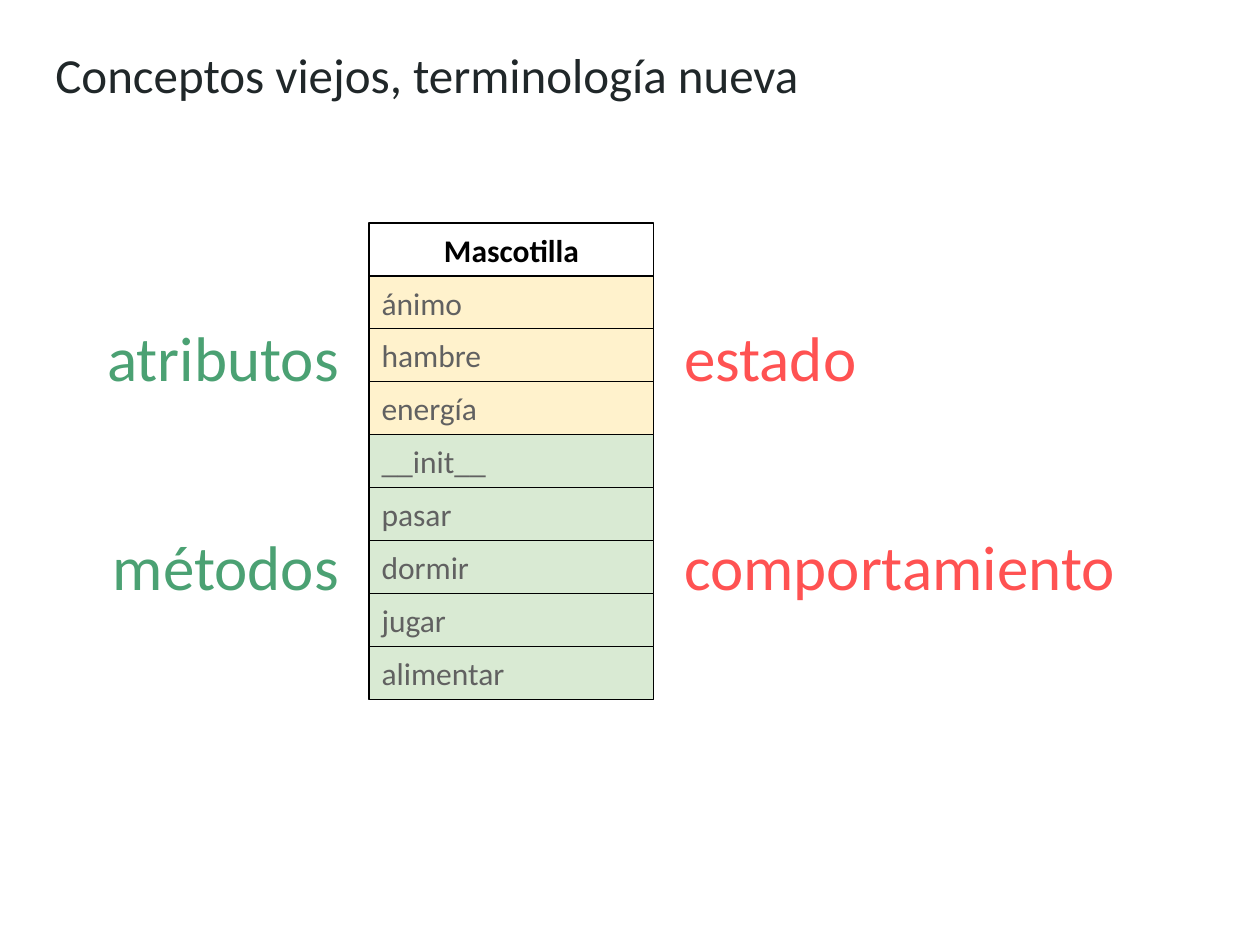
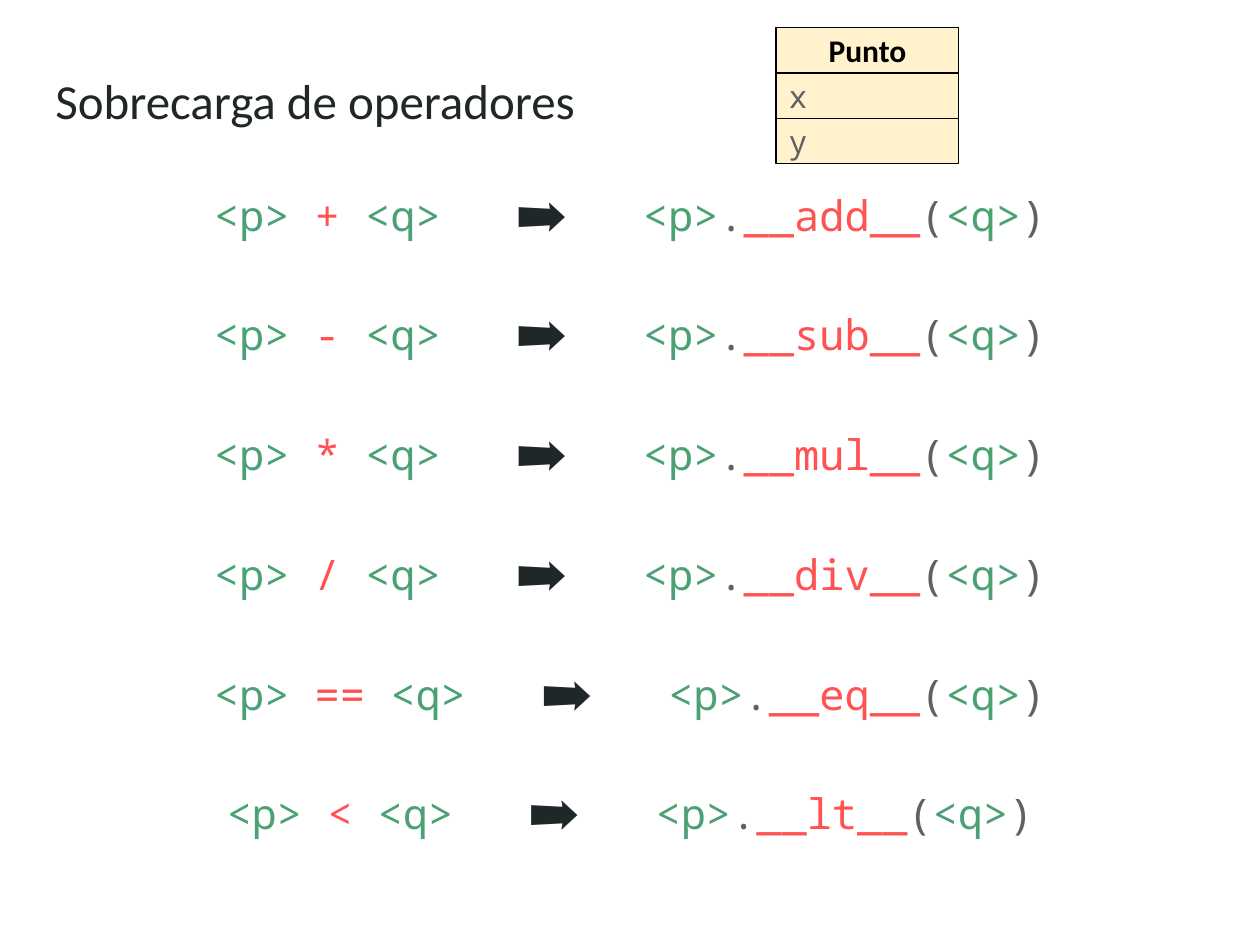
from pptx import Presentation
from pptx import util as u
from pptx.dml.color import RGBColor
from pptx.enum import shapes, text
from pptx.oxml import parse_xml
from pptx.oxml.ns import nsdecls

# Shared style
SANS, MONO, SYMBOL = "Calibri", "Noto Sans Mono", "Arial"
INK, GRAY, BLACK, WHITE = "202729", "616161", "000000", "FFFFFF"
GREEN, RED = "4BA173", "FF5252"
STATE_FILL, METHOD_FILL = "FFF2CC", "D9EAD3"
LEFT, CENTER, RIGHT = text.PP_ALIGN.LEFT, text.PP_ALIGN.CENTER, text.PP_ALIGN.RIGHT
TOP, MIDDLE = text.MSO_ANCHOR.TOP, text.MSO_ANCHOR.MIDDLE
MARGIN, CONTENT_WIDTH = 0.34, 9.32
COMPARISON_LAYOUT, TITLE_ONLY_LAYOUT = 4, 5


def color(value):
    return RGBColor.from_string(value)


def place(shape, left, top, width, height):
    shape.left, shape.top = u.Inches(left), u.Inches(top)
    shape.width, shape.height = u.Inches(width), u.Inches(height)


def format_frame(frame, anchor=MIDDLE):
    frame.word_wrap = True
    frame.auto_size = text.MSO_AUTO_SIZE.NONE
    frame.vertical_anchor = anchor
    frame.margin_left = frame.margin_right = u.Inches(0.1)
    frame.margin_top = frame.margin_bottom = u.Inches(0.1)


def format_span(span, size, ink, font=SANS, bold=False):
    span.font.size = u.Pt(size)
    span.font.name = font
    span.font.bold = bold
    span.font.color.rgb = color(ink)


def write(shape, words, size, ink, align=LEFT, anchor=MIDDLE, font=SANS, bold=False):
    frame = shape.text_frame
    frame.text = words
    format_frame(frame, anchor)
    para = frame.paragraphs[0]
    para.alignment = align
    para.space_before = u.Pt(0)
    format_span(para.runs[0], size, ink, font, bold)
    return para


def add_slide(deck, layout, title, top):
    slide = deck.slides.add_slide(deck.slide_layouts[layout])
    place(slide.shapes.title, MARGIN, top, CONTENT_WIDTH, 0.83)
    write(slide.shapes.title, title, 28, INK, anchor=TOP)
    return slide


def add_label(box, words, ink, align, position):
    """Fill a body placeholder with one large word and no bullet."""
    place(box, *position, 0.66)
    properties = write(box, words, 36, ink, align).font._element.getparent()
    properties.set("marL", "0")
    properties.set("indent", "0")
    bullet = parse_xml(f"<a:buNone {nsdecls('a')}/>")
    properties.insert_element_before(bullet, "a:tabLst", "a:defRPr", "a:extLst")


def add_class_diagram(parent, left, top, width, row_height, name, name_fill,
                      members, font=SANS):
    """Stack the class name over its members, given as (name, fill)."""
    for row, (words, fill) in enumerate([(name, name_fill), *members]):
        box = parent.add_shape(
            shapes.MSO_SHAPE.RECTANGLE, u.Inches(left),
            u.Inches(top + row * row_height), u.Inches(width), u.Inches(row_height))
        box.shadow.inherit = False
        box.fill.solid()
        box.fill.fore_color.rgb = color(fill)
        box.line.color.rgb = color(BLACK)
        box.line.width = u.Pt(0.75)
        if row == 0:
            write(box, words, 18, BLACK, CENTER, bold=True)
        else:
            write(box, words, 18, GRAY, font=font)


def add_operator_row(slide, top, operator, method):
    """Show an operator expression and the method call it stands for."""
    box = slide.shapes.add_textbox(u.Inches(MARGIN), u.Inches(top),
                                   u.Inches(CONTENT_WIDTH), u.Inches(0.76))
    format_frame(box.text_frame)
    para = box.text_frame.paragraphs[0]
    para.alignment = CENTER
    gap = (" ", GRAY)
    arrow = ("➡", INK)
    parts = [("<p> ", GREEN), (operator, RED), (" <q>", GREEN), gap, arrow, gap,
             ("<p>", GREEN), (".", GRAY), (method, RED), ("(", GRAY),
             ("<q>", GREEN), (")", GRAY)]
    for part in parts:
        span = para.add_run()
        span.text, ink = part
        if part == arrow:
            format_span(span, 28, ink, SYMBOL)
        else:
            format_span(span, 24, ink, MONO)
        if part == gap:
            # Widen the space to three characters
            span.font._element.set("spc", "2880")


def build_terminology(deck):
    slide = add_slide(deck, COMPARISON_LAYOUT, "Conceptos viejos, terminología nueva", 0.25)

    # Class with its attributes and methods
    attributes = ["ánimo", "hambre", "energía"]
    methods = ["__init__", "pasar", "dormir", "jugar", "alimentar"]
    members = [(name, STATE_FILL) for name in attributes]
    members += [(name, METHOD_FILL) for name in methods]
    add_class_diagram(slide.shapes, 2.93, 1.77, 2.26, 0.42, "Mascotilla", WHITE, members)

    # Terms on both sides
    state_top, behavior_top = 2.5, 4.16
    labels = [("métodos", GREEN, RIGHT, (0.34, behavior_top, 2.45)),
              ("atributos", GREEN, RIGHT, (0.6, state_top, 2.19)),
              ("estado", RED, LEFT, (5.33, state_top, 2.19)),
              ("comportamiento", RED, LEFT, (5.33, behavior_top, 4.14))]
    bodies = list(slide.placeholders)[1:]
    for box, label in zip(bodies, labels):
        add_label(box, *label)


def build_operators(deck):
    slide = add_slide(deck, TITLE_ONLY_LAYOUT, "Sobrecarga de operadores", 0.46)

    # Operators and their methods
    operators = {"+": "__add__", "-": "__sub__", "*": "__mul__",
                 "/": "__div__", "==": "__eq__", "<": "__lt__"}
    for row, (operator, method) in enumerate(operators.items()):
        add_operator_row(slide, 1.3 + row * 0.95, operator, method)

    # Class diagram
    group = slide.shapes.add_group_shape()
    add_class_diagram(group.shapes, 6.16, 0.22, 1.45, 0.36, "Punto", STATE_FILL,
                      [("x", STATE_FILL), ("y", STATE_FILL)], MONO)


def main():
    deck = Presentation()
    deck.slide_width, deck.slide_height = u.Inches(10), u.Inches(7.5)
    build_terminology(deck)
    build_operators(deck)
    deck.save("out.pptx")


if __name__ == "__main__":
    main()
